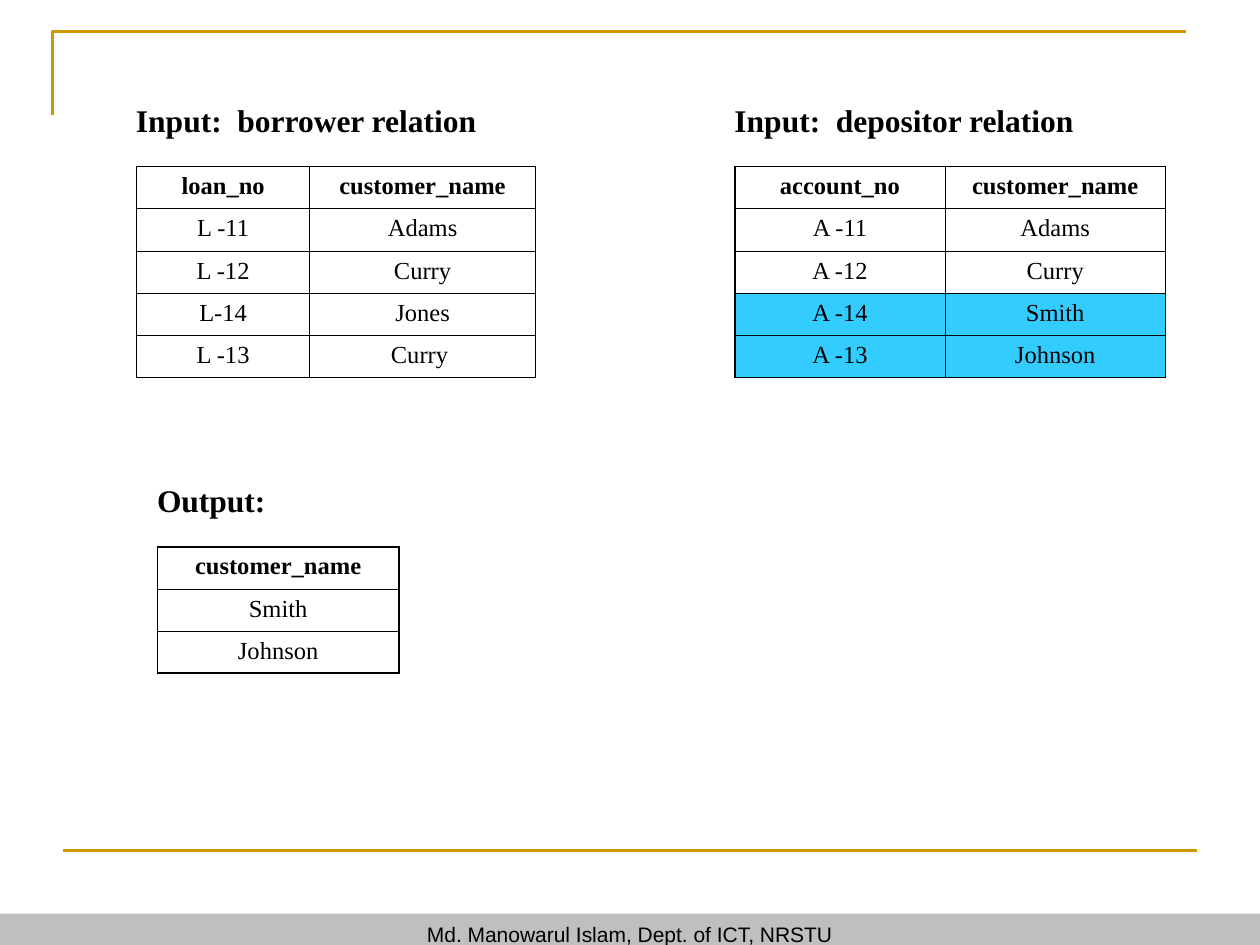
from dataclasses import dataclass

from lxml import etree
from pptx import Presentation
from pptx.dml.color import RGBColor
from pptx.enum.shapes import MSO_CONNECTOR, MSO_SHAPE
from pptx.enum.text import MSO_ANCHOR, PP_ALIGN
from pptx.oxml.ns import qn
from pptx.util import Pt

LEFT, CENTER = PP_ALIGN.LEFT, PP_ALIGN.CENTER
MIDDLE = MSO_ANCHOR.MIDDLE
RECT = MSO_SHAPE.RECTANGLE
STRAIGHT = MSO_CONNECTOR.STRAIGHT
BLANK = 6


@dataclass(frozen=True)
class Theme:
    ink: str = "000000"
    paper: str = "FFFFFF"
    accent: str = "CC9900"
    band: str = "BFBFBF"
    highlight: str = "33CCFF"
    serif: str = "Times New Roman"
    sans: str = "Arial"
    heading: float = 18
    cell: float = 14
    footer: float = 12
    rule: float = 1.5
    outer: float = 1.08
    inner: float = 0.45


class Deck:
    def __init__(self, theme, width, height):
        self.theme = theme
        self.prs = Presentation()
        self.prs.slide_width, self.prs.slide_height = Pt(width), Pt(height)
        self.s = self.prs.slides.add_slide(self.prs.slide_layouts[BLANK])

    def add_text(self, tf, text, align=LEFT, **font):
        p = tf.paragraphs[0]
        p.alignment = align
        r = p.add_run()
        r.text = text
        r.font.color.rgb = RGBColor.from_string(self.theme.ink)
        for name, value in font.items():
            setattr(r.font, name, value)

    def style_line(self, line):
        line.color.rgb = RGBColor.from_string(self.theme.accent)
        line.width = Pt(self.theme.rule)

    def rule(self, x1, y1, x2, y2):
        sp = self.s.shapes.add_connector(STRAIGHT, Pt(x1), Pt(y1), Pt(x2), Pt(y2))
        self.style_line(sp.line)
        etree.SubElement(sp._element.spPr, qn("a:effectLst"))

    def outline(self, start, *points):
        fb = self.s.shapes.build_freeform(Pt(start[0]), Pt(start[1]))
        fb.add_line_segments([(Pt(x), Pt(y)) for x, y in points], close=False)
        sp = fb.convert_to_shape()
        sp.shadow.inherit = False
        sp.fill.background()
        self.style_line(sp.line)

    def bar(self, x, y, w, h, text):
        sp = self.s.shapes.add_shape(RECT, Pt(x), Pt(y), Pt(w), Pt(h))
        sp.shadow.inherit = False
        sp.fill.solid()
        sp.fill.fore_color.rgb = RGBColor.from_string(self.theme.band)
        sp.line.fill.background()
        sp.text_frame.vertical_anchor = MIDDLE
        self.add_text(sp.text_frame, text, CENTER,
                      name=self.theme.sans, size=Pt(self.theme.footer))

    def heading(self, x, y, w, text):
        sp = self.s.shapes.add_textbox(Pt(x), Pt(y), Pt(w), Pt(29))
        tf = sp.text_frame
        tf.word_wrap = True
        tf.margin_left = Pt(11.7)
        self.add_text(tf, text, name=self.theme.serif,
                      size=Pt(self.theme.heading), bold=True)

    def borders(self, cell, widths):
        tcPr = cell._tc.get_or_add_tcPr()
        for side, width in widths.items():
            ln = etree.SubElement(tcPr, qn(f"a:ln{side}"), w=str(Pt(width)))
            fill = etree.SubElement(ln, qn("a:solidFill"))
            etree.SubElement(fill, qn("a:srgbClr"), val=self.theme.ink)

    def table(self, x, y, col_widths, rows, row_h=24.1, marked=()):
        t = self.theme
        n_rows, n_cols = len(rows), len(col_widths)
        tbl = self.s.shapes.add_table(n_rows, n_cols, Pt(x), Pt(y),
                                      Pt(sum(col_widths)), Pt(row_h * n_rows)).table
        tbl.first_row = tbl.horz_banding = False
        for col, w in zip(tbl.columns, col_widths):
            col.width = Pt(w)
        for i, values in enumerate(rows):
            tbl.rows[i].height = Pt(row_h)
            for j, text in enumerate(values):
                cell = tbl.cell(i, j)
                edges = {"L": j == 0, "R": j == n_cols - 1,
                         "T": i == 0, "B": i == n_rows - 1}
                self.borders(cell, {side: t.outer if edge else t.inner
                                    for side, edge in edges.items()})
                cell.fill.solid()
                cell.fill.fore_color.rgb = RGBColor.from_string(
                    t.highlight if i in marked else t.paper)
                self.add_text(cell.text_frame, text, CENTER, name=t.serif,
                              size=Pt(t.cell), bold=i == 0)


deck = Deck(Theme(), 720, 540)

# Frame and footer
deck.outline((30, 66), (30, 18), (678, 18))
deck.rule(36, 486, 684, 486)
deck.bar(0, 522, 720, 24, "Md. Manowarul Islam, Dept. of ICT, NRSTU")

# Input relations
deck.heading(66, 54, 228, "Input:  borrower relation")
deck.table(78, 95.2, (99, 129), [
    ("loan_no", "customer_name"),
    ("L -11", "Adams"),
    ("L -12", "Curry"),
    ("L-14", "Jones"),
    ("L -13", "Curry "),
])
deck.heading(408, 54, 264, "Input:  depositor relation")
deck.table(420, 95.2, (120, 126), [
    ("account_no", "customer_name"),
    ("A -11", "Adams"),
    ("A -12", "Curry"),
    ("A -14", "Smith"),
    ("A -13", "Johnson"),
], marked=(3, 4))

# Output relation
deck.heading(78, 271.2, 228, "Output:")
deck.table(90, 312.4, (138,), [("customer_name",), ("Smith",), ("Johnson",)])

deck.prs.save("out.pptx")
